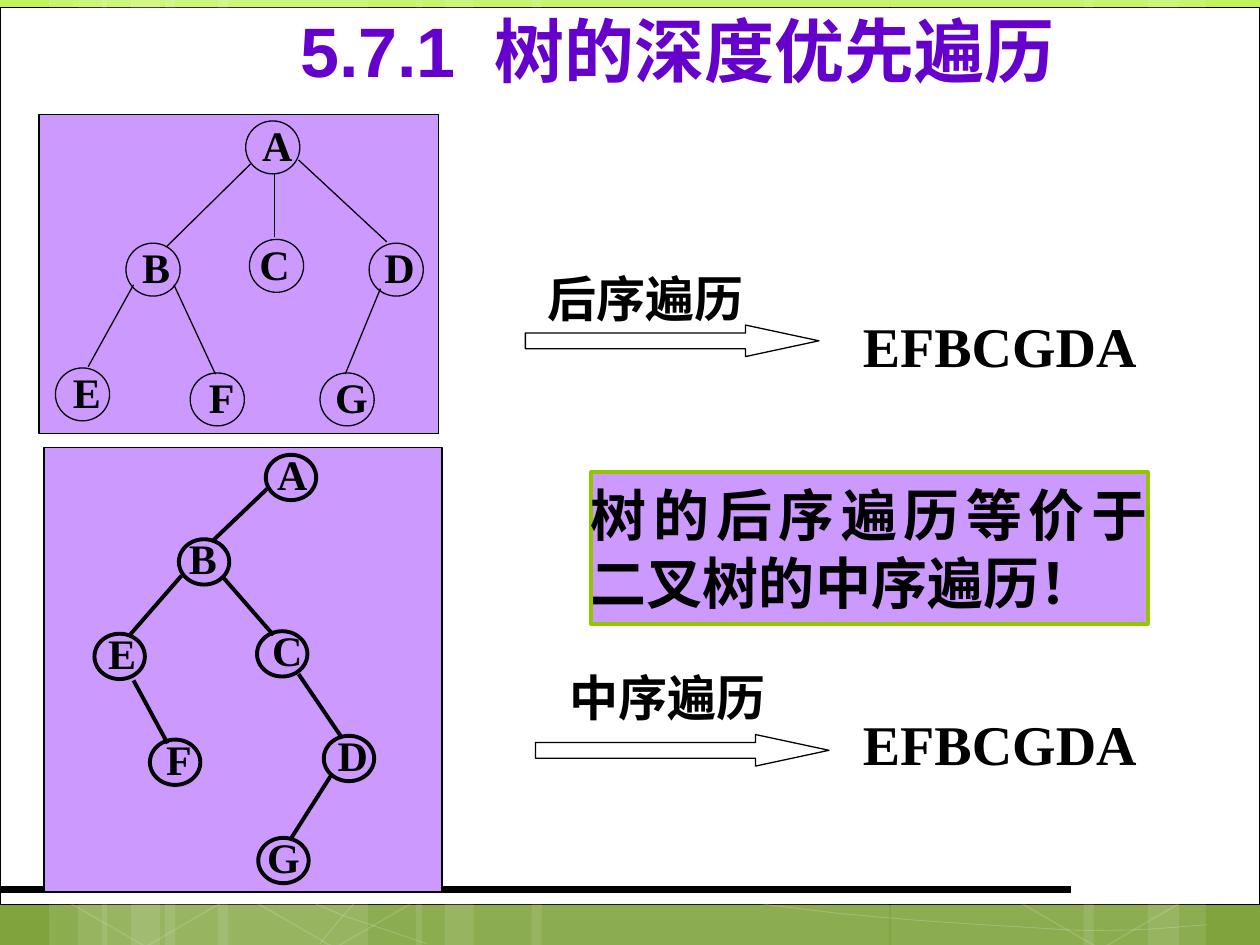
"""Builds a slide that compares post-order tree traversal with in-order binary tree traversal."""
from copy import deepcopy

from lxml import etree
from pptx import Presentation
from pptx import util as u
from pptx.dml.color import RGBColor
from pptx.enum import shapes, text
from pptx.oxml.ns import qn

COLUMNS, ROWS = 100, 75
CELL = u.Inches(0.1)
BLACK = RGBColor(0, 0, 0)
WHITE = RGBColor(0xFF, 0xFF, 0xFF)
LILAC = RGBColor(0xCC, 0x99, 0xFF)
PURPLE = RGBColor(0x66, 0x00, 0xCC)
GREEN = RGBColor(0x94, 0xC6, 0x00)
GRADIENT = [(0, RGBColor(0xC2, 0xF3, 0x5F)), (0.62, RGBColor(0x92, 0xBE, 0x3F)),
            (1, RGBColor(0x80, 0xA3, 0x3D))]
SERIF, SANS = "Times New Roman", "Arial"
KIND = shapes.MSO_SHAPE

BANDS = [(13.1, 16.1), (3.9, 4.6), (6.2, 7.7), (17.3, 16.2), (8.1, 4.6), (10.4, 7.7),
         (70.7, 16.1), (91.1, 4.6), (86, 7.6), (42.2, 28.4), (33, 4.6), (35.3, 7.7)]
CURVES = [
    [(3.7, 47.7), (6.4, 46.1), (9, 44.6), (14.3, 43.1), (19.5, 41.6), (26.9, 39.4),
     (35.1, 38.7), (43.2, 38), (53.2, 37.9), (63.3, 38.7), (73.4, 39.5), (90.3, 42.6),
     (95.8, 43.4)],
    [(3.6, 61.7), (14.7, 67.2), (25.8, 72.7), (33.9, 74.9)],
    [(3.7, 57.8), (6.6, 58.9), (9.5, 60), (14.9, 61.6), (20.2, 63.1), (28.2, 65.6),
     (35.9, 67.3), (43.6, 69), (53.3, 70.8), (60.9, 71.8), (68.5, 72.9), (76.7, 73.3),
     (81.6, 73.6), (86.4, 74), (87.7, 73.8), (90.1, 73.8), (92.4, 73.7), (94.1, 73.5),
     (95.8, 73.4)],
    [(25.4, 74.9), (27, 72.9), (28.6, 70.9), (30.9, 69.1), (33.1, 67.2), (36.2, 65.3),
     (38.8, 63.9), (41.3, 62.5), (42.9, 61.9), (46.3, 60.9), (49.7, 59.9), (55.9, 58.5),
     (59.1, 57.8), (62.3, 57.1), (62.8, 57.1), (65.7, 56.9), (68.5, 56.6), (73, 56.3),
     (76.2, 56.2), (79.4, 56.1), (90.8, 56.2), (95.7, 56.6)],
]
HEXAGONS = [(34, 31.3, 10, 12), (41.3, 45.1, 0, 12), (41.4, 17.4, 7, 8), (33.8, 3.6, 4, 8),
            (4.1, 59.1, 0, 12), (4.4, 31.2, 7, 8), (19.1, 59.2, 0, 12), (19.3, 31.3, 7, 8),
            (11.9, 17.1, 0, 12), (72.4, 45.3, 10, 12), (79.9, 59.3, 0, 12),
            (79.9, 31.4, 7, 8)]

TREE_NODES = [("A", 19.5, 9.6, 0.7), ("B", 10, 19.3, 0.6), ("C", 19.8, 19, 0.2),
              ("D", 29.3, 19.3, 0.6), ("E", 4.4, 29.2, 0.7), ("F", 15.1, 29.6, 0.7),
              ("G", 25.4, 29.6, 0.7)]
TREE_EDGES = [(19.9, 13, 13.2, 19.6), (10.6, 22.6, 7, 29.1), (13.8, 22.6, 17.1, 29.7),
              (23.7, 12.7, 30.7, 19.2), (30.2, 22.9, 27.4, 29.7), (21.8, 13.8, 21.8, 18.8)]
BINARY_NODES = [("A", 21.1, 36.1, 0.4), ("B", 14.2, 42.8, 0.2), ("C", 20.4, 50.1, 0.7),
                ("D", 25.7, 58.4, 0.6), ("E", 7.5, 50.3, 0.5), ("F", 11.9, 58.7, 0.6),
                ("G", 20.5, 66.5, 0.3)]
BINARY_EDGES = [(21.2, 38.8, 16.8, 43), (14.4, 45.7, 10.3, 50.4), (17.6, 45.7, 21.7, 50.4),
                (10.6, 54, 13.3, 59), (26.3, 61.5, 23, 66.7), (23.7, 53.5, 27.1, 58.5)]


def grid(*lengths):
    """Turn grid columns or rows into slide units."""
    return [round(length * CELL) for length in lengths]


def paint(shape, fill=None, line=None, width=0.75, opacity=100, line_opacity=100):
    """Set fill, outline and their opacity, without a shadow."""
    shape.shadow.inherit = False
    for part, color in ((shape.fill, fill), (shape.line.fill, line)):
        if color is None:
            part.background()
        else:
            part.solid()
            part.fore_color.rgb = color
    if line is not None:
        shape.line.width = u.Pt(width)
    props = shape.element.spPr
    for owner, share in ((props, opacity), (props.find(qn("a:ln")), line_opacity)):
        color = owner.find(qn("a:solidFill") + "/" + qn("a:srgbClr"))
        if color is not None and share < 100:
            etree.SubElement(color, qn("a:alpha")).set("val", str(share * 1000))


def add_figure(page, kind, place, **look):
    """Draw a preset shape on the grid."""
    figure = page.shapes.add_shape(kind, *grid(*place))
    paint(figure, **look)
    return figure


def add_line(page, ends, width):
    """Draw a straight black line."""
    line = page.shapes.add_connector(shapes.MSO_CONNECTOR.STRAIGHT, *grid(*ends))
    line.line.color.rgb = BLACK
    line.line.width = u.Pt(width)
    etree.SubElement(line.element.spPr, qn("a:effectLst"))


def write(box, words, size, align, font=SERIF, color=BLACK, inset=(1, 0.5, 1, 0.5)):
    """Put one bold paragraph into a box."""
    frame = box.text_frame
    frame.word_wrap = True
    (frame.margin_left, frame.margin_top,
     frame.margin_right, frame.margin_bottom) = grid(*inset)
    frame.text = words
    para = frame.paragraphs[0]
    para.alignment = align
    for span in para.runs:
        span.font.name, span.font.size, span.font.bold = font, u.Pt(size), True
        span.font.color.rgb = color


def add_text(page, place, words, size, align=text.PP_ALIGN.LEFT, **style):
    """Add a text box on the grid."""
    write(page.shapes.add_textbox(*grid(*place)), words, size, align, **style)


def add_curve(page, points):
    """Draw a faint open curve from chained cubic segments."""
    track = [points[0]]
    for first in range(0, len(points) - 3, 3):
        a, b, c, d = points[first:first + 4]
        for t in (0.25, 0.5, 0.75, 1):
            s = 1 - t
            track.append(tuple(s**3 * p + 3 * s * s * t * q + 3 * s * t * t * r + t**3 * e
                               for p, q, r, e in zip(a, b, c, d)))
    builder = page.shapes.build_freeform(*grid(*track[0]))
    builder.add_line_segments([grid(*point) for point in track[1:]], close=False)
    paint(builder.convert_to_shape(), line=WHITE, width=0.5, line_opacity=20)


def add_backdrop(page):
    """Fill the background and lay the white sheet, bands, curves and hexagons."""
    fill = page.background.fill
    fill.gradient()
    fill.gradient_angle = 270
    stops = page.element.find(".//" + qn("a:gsLst"))
    stops.append(deepcopy(stops[-1]))
    for stop, (position, color) in zip(fill.gradient_stops, GRADIENT):
        stop.position, stop.color.rgb = position, color
    add_figure(page, KIND.RECTANGLE, (0, 0.6, COLUMNS, 71.2),
               fill=WHITE, line=BLACK, width=0.5)
    for left, width in BANDS:
        add_figure(page, KIND.RECTANGLE, (left, 0, width, ROWS), fill=WHITE, opacity=10)
    for points in CURVES:
        add_curve(page, points)
    for left, top, opacity, line_opacity in HEXAGONS:
        hexagon = add_figure(page, KIND.HEXAGON, (left, top, 16.1, 15.2),
                             fill=WHITE if opacity else None, line=WHITE, width=1,
                             opacity=opacity, line_opacity=line_opacity)
        hexagon.adjustments[0], hexagon.adjustments[1] = 0.285, 1.155
        hexagon.rotation = 30
    add_line(page, (0, 70.6, 85, 70.6), 4.5)


def add_tree(page, panel, nodes, edges, node_size, letter_size, inset, width):
    """Draw a panel with lettered nodes and the edges between them."""
    add_figure(page, KIND.RECTANGLE, panel, fill=LILAC, line=BLACK)
    for letter, left, top, shift in nodes:
        add_text(page, (left + shift, top - 0.8, *letter_size), letter, 24,
                 text.PP_ALIGN.CENTER, inset=inset)
        add_figure(page, KIND.OVAL, (left, top, *node_size), line=BLACK, width=width)
    for ends in edges:
        add_line(page, ends, width)


def add_traversal(page, arrow_place, label_place, label, result_place):
    """Draw a labelled block arrow and the visiting order it leads to."""
    add_text(page, result_place, "EFBCGDA", 32)
    arrow = add_figure(page, KIND.RIGHT_ARROW, (*arrow_place, 23.3, 2.5), line=BLACK)
    arrow.adjustments[0], arrow.adjustments[1] = 0.5, 2.33
    add_text(page, label_place, label, 28)


def main():
    """Build and save the slide."""
    deck = Presentation()
    deck.slide_width, deck.slide_height = grid(COLUMNS, ROWS)
    page = deck.slides.add_slide(deck.slide_layouts[6])
    add_backdrop(page)
    add_traversal(page, (41.7, 25.8), (42.5, 20.8, 19.2, 5.7), "后序遍历",
                  (67.5, 24.2, 26.7, 6.3))
    add_traversal(page, (42.5, 58.3), (44.2, 52.5, 18.3, 5.7), "中序遍历",
                  (67.5, 55.8, 25.8, 6.3))
    note = add_figure(page, KIND.RECTANGLE, (46.9, 37.5, 44.2, 12),
                      fill=LILAC, line=GREEN, width=2.25)
    write(note, "树的后序遍历等价于二叉树的中序遍历！", 32, text.PP_ALIGN.JUSTIFY,
          inset=(0, 0.5, 0, 0.5))
    add_text(page, (15.2, 0.1, 77.1, 7.7), "5.7.1  树的深度优先遍历", 40,
             text.PP_ALIGN.CENTER, font=SANS, color=PURPLE)
    add_tree(page, (3.1, 9.1, 31.7, 25.3), TREE_NODES, TREE_EDGES, (4.3, 4.2),
             (3.6, 5), (0.4, 0.7, 0.4, 0.1), 0.75)
    add_tree(page, (3.5, 35.5, 31.6, 35.3), BINARY_NODES, BINARY_EDGES, (4, 3.6),
             (3.4, 4.4), (0.2, 0.3, 0.2, 0.1), 2.25)
    deck.save("out.pptx")


if __name__ == "__main__":
    main()
